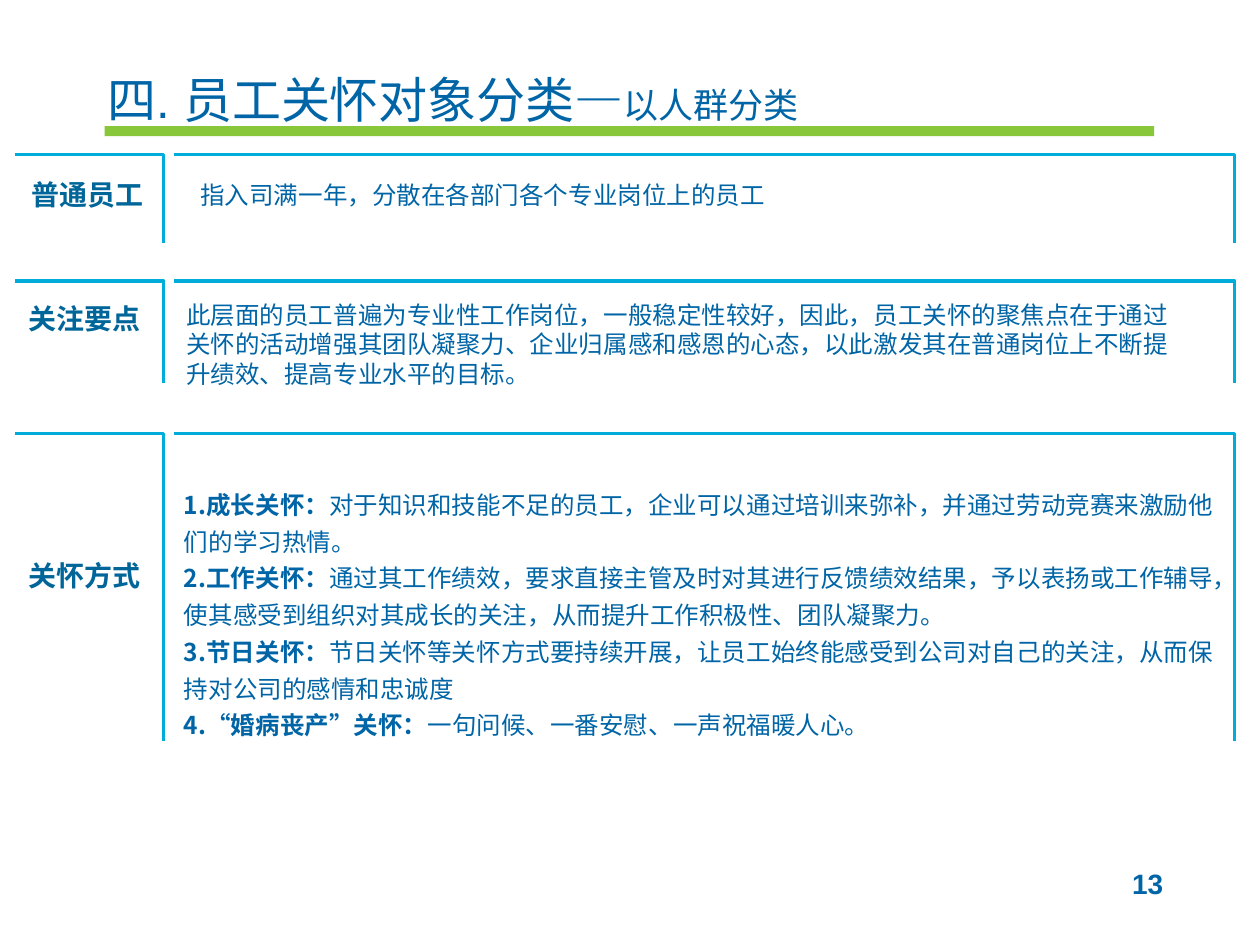
from pptx import Presentation
from pptx.dml.color import RGBColor
from pptx.enum.shapes import MSO_SHAPE as Shape
from pptx.enum.text import MSO_ANCHOR as Anchor, MSO_AUTO_SIZE as AutoSize, PP_ALIGN as Align
from pptx.util import Inches, Pt

BLUE, LABEL_BLUE, CYAN, GREEN = "0065A6", "006699", "00ADDA", "88C63A"
SANS = "Noto Sans CJK SC"
COLUMNS = [(0.12, 1.3), (1.38, 9.8)]
ROWS = [(1.23, 0.7), (2.23, 0.81), (3.44, 2.44)]
LABELS = [
    ("普通员工", (0.12, 1.41, 1.15, 0.27), Align.CENTER),
    ("关注要点", (0.23, 2.39, 1.05, 0.27), Align.LEFT),
    ("关怀方式", (0.23, 4.43, 1.05, 0.27), Align.LEFT),
]
DEFINITION = "指入司满一年，分散在各部门各个专业岗位上的员工"
FOCUS = (
    "此层面的员工普遍为专业性工作岗位，一般稳定性较好，因此，员工关怀的聚焦点在于通过"
    "关怀的活动增强其团队凝聚力、企业归属感和感恩的心态，以此激发其在普通岗位上不断提"
    "升绩效、提高专业水平的目标。"
)
METHODS = [
    ("1.成长关怀：", "对于知识和技能不足的员工，企业可以通过培训来弥补，并通过劳动竞赛来激励他们的学习热情。"),
    ("2.工作关怀：", "通过其工作绩效，要求直接主管及时对其进行反馈绩效结果，予以表扬或工作辅导，"
                 "使其感受到组织对其成长的关注，从而提升工作积极性、团队凝聚力。"),
    ("3.节日关怀：", "节日关怀等关怀方式要持续开展，让员工始终能感受到公司对自己的关注，从而保持对公司的感情和忠诚度"),
    ("4.“婚病丧产”关怀：", "一句问候、一番安慰、一声祝福暖人心。"),
]


def color(value):
    """Turn a hex string into a colour."""
    return RGBColor.from_string(value)


def add_span(para, text, size, font=SANS, tint=BLUE, bold=False):
    """Append a formatted run to a paragraph."""
    span = para.add_run()
    span.text = text
    span.font.size, span.font.name, span.font.bold = Pt(size), font, bold
    span.font.color.rgb = color(tint)


def add_box(page, area, inset=True, anchor=Anchor.MIDDLE):
    """Add a wrapping text box and return its text frame."""
    frame = page.shapes.add_textbox(*map(Inches, area)).text_frame
    frame.word_wrap = True
    frame.vertical_anchor = anchor
    if not inset:
        frame.margin_left = frame.margin_right = 0
        frame.margin_top = frame.margin_bottom = 0
    return frame


def add_text(page, area, text, size, align=Align.LEFT, inset=False, anchor=Anchor.MIDDLE, **style):
    """Add a text box holding one uniform paragraph."""
    para = add_box(page, area, inset, anchor).paragraphs[0]
    para.alignment = align
    add_span(para, text, size, **style)


def add_title(page):
    """Place and fill the title above a green rule."""
    rule = page.shapes.add_shape(Shape.RECTANGLE, *map(Inches, (0.83, 1, 8.33, 0.08)))
    rule.shadow.inherit = False
    rule.fill.solid()
    rule.fill.fore_color.rgb = color(GREEN)
    rule.line.fill.background()
    title = page.shapes.title
    title.left, title.top, title.width, title.height = map(Inches, (0.75, 0.44, 8.35, 0.69))
    title.text_frame.auto_size = AutoSize.NONE
    title.text_frame.vertical_anchor = Anchor.MIDDLE
    para = title.text_frame.paragraphs[0]
    para.alignment = Align.LEFT
    add_span(para, "四. 员工关怀对象分类—", 28, "Arial")
    add_span(para, "以人群分类", 20, "Arial")


def add_corner(page, left, right, top, height):
    """Draw the top and right edges of a cell as one open line."""
    points = [(Inches(x), Inches(y)) for x, y in [(left, top), (right, top), (right, top + height)]]
    builder = page.shapes.build_freeform(*points[0])
    builder.add_line_segments(points[1:], close=False)
    corner = builder.convert_to_shape()
    corner.shadow.inherit = False
    corner.fill.background()
    corner.line.color.rgb = color(CYAN)
    corner.line.width = Pt(1.75)


def add_methods(page):
    """List the ways of caring, each with a bold heading."""
    frame = add_box(page, (1.46, 3.83, 8.19, 2.04), inset=False)
    for index, (heading, detail) in enumerate(METHODS):
        para = frame.add_paragraph() if index else frame.paragraphs[0]
        para.line_spacing = 1.25
        add_span(para, heading, 14, bold=True)
        add_span(para, detail, 14)


def main():
    """Build the slide and save it."""
    deck = Presentation()
    deck.slide_width, deck.slide_height = Inches(10), Inches(7.5)
    page = deck.slides.add_slide(deck.slide_layouts[5])
    add_title(page)
    for top, height in ROWS:
        for left, right in COLUMNS:
            add_corner(page, left, right, top, height)
    for text, area, align in LABELS:
        add_text(page, area, text, 16, align, tint=LABEL_BLUE, bold=True)
    add_text(page, (1.59, 1.43, 8.12, 0.23), DEFINITION, 14)
    add_text(page, (1.38, 2.33, 8.12, 0.8), FOCUS, 14, inset=True, anchor=Anchor.TOP, font="Times New Roman")
    add_methods(page)
    add_text(page, (7, 6.83, 2.33, 0.52), "13", 16, Align.RIGHT, inset=True, anchor=Anchor.TOP,
             font="Arial", bold=True)
    deck.save("out.pptx")


if __name__ == "__main__":
    main()
